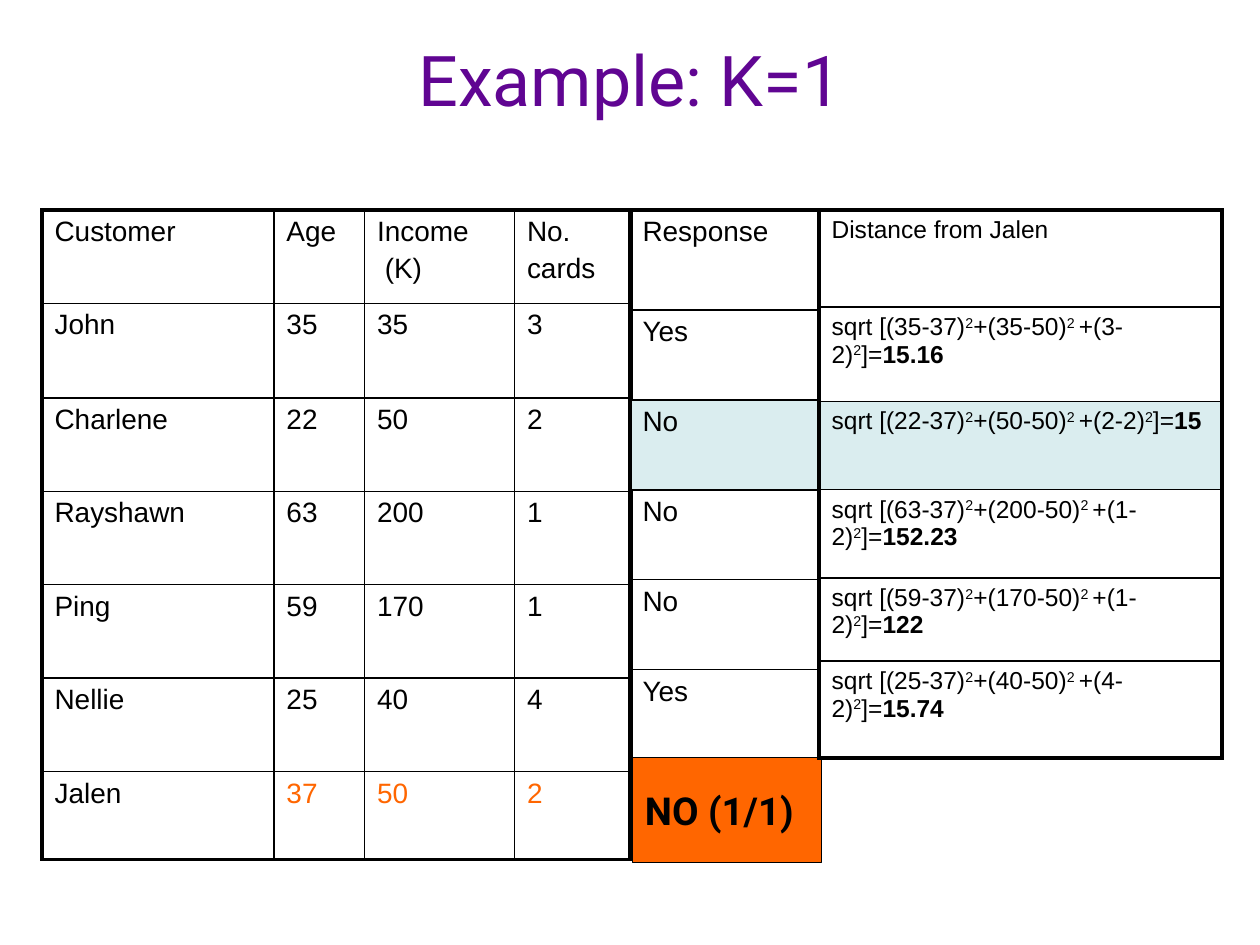
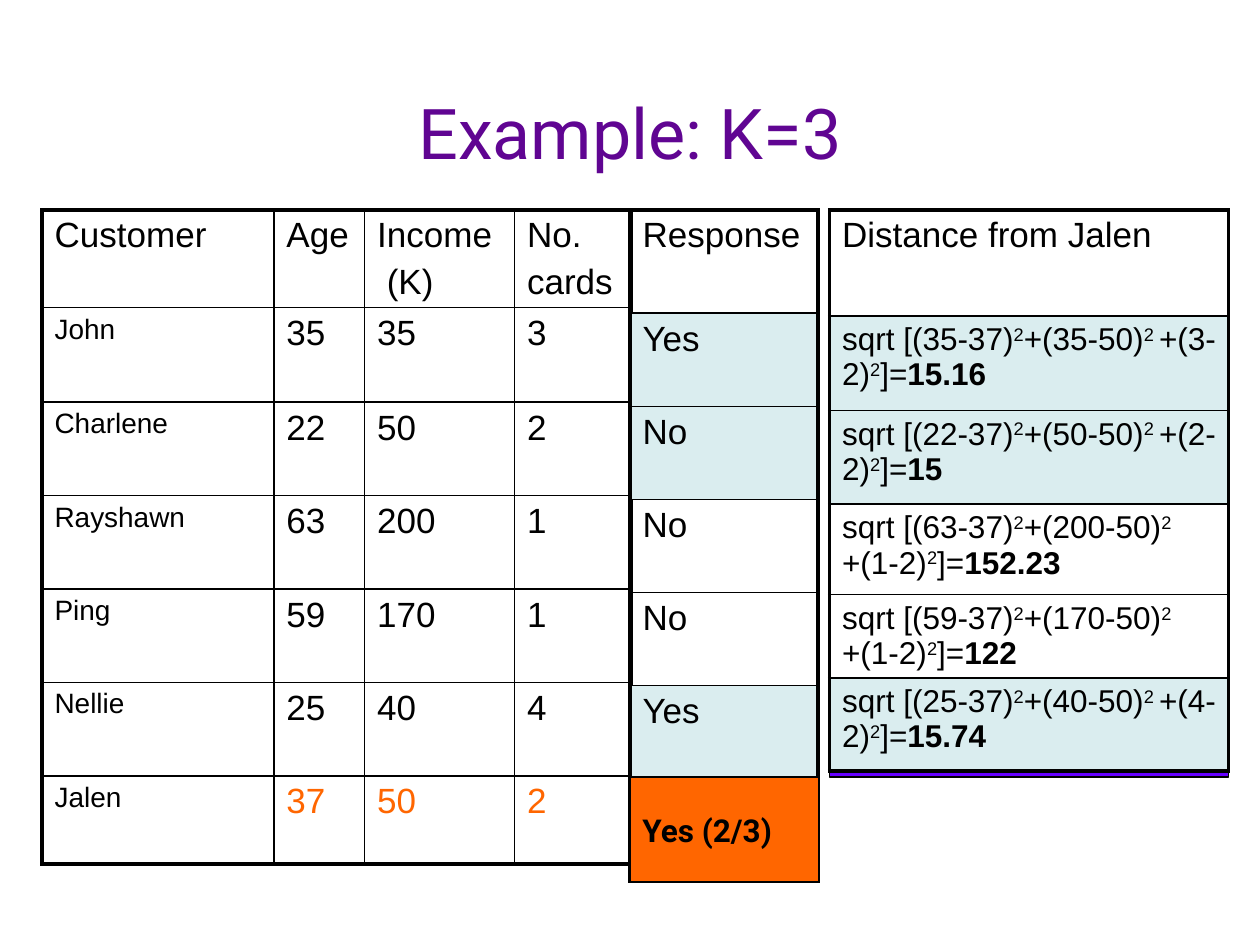
from lxml import etree
from pptx import Presentation
from pptx.dml.color import RGBColor
from pptx.enum.shapes import MSO_SHAPE
from pptx.enum.text import MSO_ANCHOR, MSO_AUTO_SIZE, PP_ALIGN
from pptx.oxml.ns import qn
from pptx.util import Pt

RECTANGLE = MSO_SHAPE.RECTANGLE
MIDDLE = MSO_ANCHOR.MIDDLE
NO_AUTOFIT = MSO_AUTO_SIZE.NONE
LEFT, CENTER = PP_ALIGN.LEFT, PP_ALIGN.CENTER

BLACK, ORANGE, PURPLE = "000000", "FF6600", "600592"
VIOLET, HIGHLIGHT = "6600FF", "DAEDEF"
BODY_FONT, HEADING_FONT = "Arial", "Roboto"
THICK, THIN = 2.25, 1
TABLE_TOP = 120

CUSTOMERS = [
    ("John", 35, 35, 3, "Yes", "15.16"),
    ("Charlene", 22, 50, 2, "No", "15"),
    ("Rayshawn", 63, 200, 1, "No", "152.23"),
    ("Ping", 59, 170, 1, "No", "122"),
    ("Nellie", 25, 40, 4, "Yes", "15.74"),
]
JALEN = ("Jalen", 37, 50, 2)
CUSTOMER_HEADERS = ["Customer", "Age", "Income\n (K)", "No.\ncards"]
CUSTOMER_WIDTHS = [132.5, 51.8, 85.7, 67]
CUSTOMER_ROWS = [53.4, 54] + [53.4] * 4 + [50.4]


def color(hex_string):
    return RGBColor.from_string(hex_string)


def write_run(paragraph, text, size=16, font=BODY_FONT, fill=BLACK, bold=False, raised=False):
    run = paragraph.add_run()
    run.text = text
    run.font.size = Pt(size)
    run.font.name = font
    run.font.bold = bold
    run.font.color.rgb = color(fill)
    if raised:
        run.font._element.set("baseline", "30000")


def write_text(frame, text, size=16, align=LEFT, **style):
    for index, line in enumerate(text.split("\n")):
        paragraph = frame.add_paragraph() if index else frame.paragraphs[0]
        paragraph.alignment = align
        if index:
            paragraph.space_before = Pt(0.2 * size)
        write_run(paragraph, line, size, **style)


def write_distance(frame, customer, size):
    paragraph = frame.paragraphs[0]
    _, age, income, cards, _, distance = customer
    _, jalen_age, jalen_income, jalen_cards = JALEN
    pieces = [
        (f"sqrt [({age}-{jalen_age})", "2"),
        (f"+({income}-{jalen_income})", "2 "),
        (f"+({cards}-{jalen_cards})", "2"),
    ]
    for term, exponent in pieces:
        write_run(paragraph, term, size)
        write_run(paragraph, exponent, size, raised=True)
    write_run(paragraph, "]=", size)
    write_run(paragraph, distance, size, bold=True)


def set_borders(cell, **widths):
    properties = cell._tc.get_or_add_tcPr()
    for side in "LRTB":
        line = etree.SubElement(properties, qn(f"a:ln{side}"), w=str(Pt(widths[side])))
        fill = etree.SubElement(line, qn("a:solidFill"))
        etree.SubElement(fill, qn("a:srgbClr"), val=BLACK)


class Deck:
    def __init__(self):
        self.presentation = Presentation()
        self.presentation.slide_width = Pt(720)
        self.presentation.slide_height = Pt(540)
        self.slide = None

    def add_slide(self, title, title_top):
        self.slide = self.presentation.slides.add_slide(self.presentation.slide_layouts[5])
        shape = self.slide.shapes.title
        shape.left, shape.top, shape.width, shape.height = Pt(36), Pt(title_top), Pt(648), Pt(90)
        frame = shape.text_frame
        frame.auto_size = NO_AUTOFIT
        frame.vertical_anchor = MIDDLE
        write_text(frame, title, size=40, font=HEADING_FONT, fill=PURPLE, align=CENTER)

    def box(self, left, top, width, height, fill):
        shape = self.slide.shapes.add_shape(RECTANGLE, Pt(left), Pt(top), Pt(width), Pt(height))
        shape.shadow.inherit = False
        shape.fill.solid()
        shape.fill.fore_color.rgb = color(fill)
        shape.line.color.rgb = color(BLACK)
        shape.line.width = Pt(0.75)
        return shape

    def verdict(self, text, left, top, size):
        frame = self.box(left, top, 108, 60, ORANGE).text_frame
        frame.word_wrap = False
        frame.vertical_anchor = MIDDLE
        write_text(frame, text, size=size, font=HEADING_FONT, bold=True)

    def table(self, left, widths, heights, highlighted=()):
        frame = self.slide.shapes.add_table(
            len(heights), len(widths), Pt(left), Pt(TABLE_TOP), Pt(sum(widths)), Pt(sum(heights)))
        table = frame.table
        table.first_row = table.horz_banding = False
        for column, width in zip(table.columns, widths):
            column.width = Pt(width)
        last_row, last_column = len(heights) - 1, len(widths) - 1
        for row, height in enumerate(heights):
            table.rows[row].height = Pt(height)
            for column in range(len(widths)):
                cell = table.cell(row, column)
                set_borders(
                    cell,
                    L=THIN if column else THICK,
                    R=THICK if column == last_column else THIN,
                    T=THIN if row else THICK,
                    B=THICK if row == last_row else THIN)
                if row in highlighted:
                    cell.fill.solid()
                    cell.fill.fore_color.rgb = color(HIGHLIGHT)
                else:
                    cell.fill.background()
        return table

    def customer_table(self, size):
        table = self.table(24, CUSTOMER_WIDTHS, CUSTOMER_ROWS)
        records = [CUSTOMER_HEADERS] + [customer[:4] for customer in CUSTOMERS] + [JALEN]
        for row, record in enumerate(records):
            for column, value in enumerate(record):
                is_name = row and not column
                write_text(
                    table.cell(row, column).text_frame, str(value),
                    size=16 if is_name else size,
                    fill=ORANGE if record is JALEN and column else BLACK)

    def response_table(self, width, heights, size, nearest):
        table = self.table(360, [width], heights, nearest)
        for row, text in enumerate(["Response"] + [customer[4] for customer in CUSTOMERS]):
            write_text(table.cell(row, 0).text_frame, text, size=size)

    def distance_table(self, left, width, heights, header_size, size, nearest):
        table = self.table(left, [width], heights, nearest)
        write_text(table.cell(0, 0).text_frame, "Distance from Jalen", size=header_size)
        for row, customer in enumerate(CUSTOMERS, 1):
            write_distance(table.cell(row, 0).text_frame, customer, size)


def main():
    deck = Deck()

    nearest = [2]
    deck.add_slide("Example: K=1", 0)
    deck.customer_table(16)
    deck.response_table(108, [57.1] + [51.4] * 5 + [57.1], 16, nearest)
    deck.verdict("NO (1/1)", 361.5, 432.7, 22)
    deck.distance_table(468, 230.4, [55.4, 54, 50.4, 50.4, 47.5, 55.4], 14, 14, nearest)

    nearest = [1, 2, 5]
    deck.add_slide("Example: K=3", 30)
    deck.customer_table(20)
    deck.box(474, 390, 228, 54, VIOLET)
    deck.response_table(107.5, [59] + [53.2] * 5 + [59], 20, nearest)
    deck.verdict("Yes (2/3)", 360, 444, 18)
    deck.distance_table(474, 228, [60.5, 54, 53.5, 51.8, 45.4, 53.3], 20, 18, nearest)

    deck.presentation.save("out.pptx")


if __name__ == "__main__":
    main()
